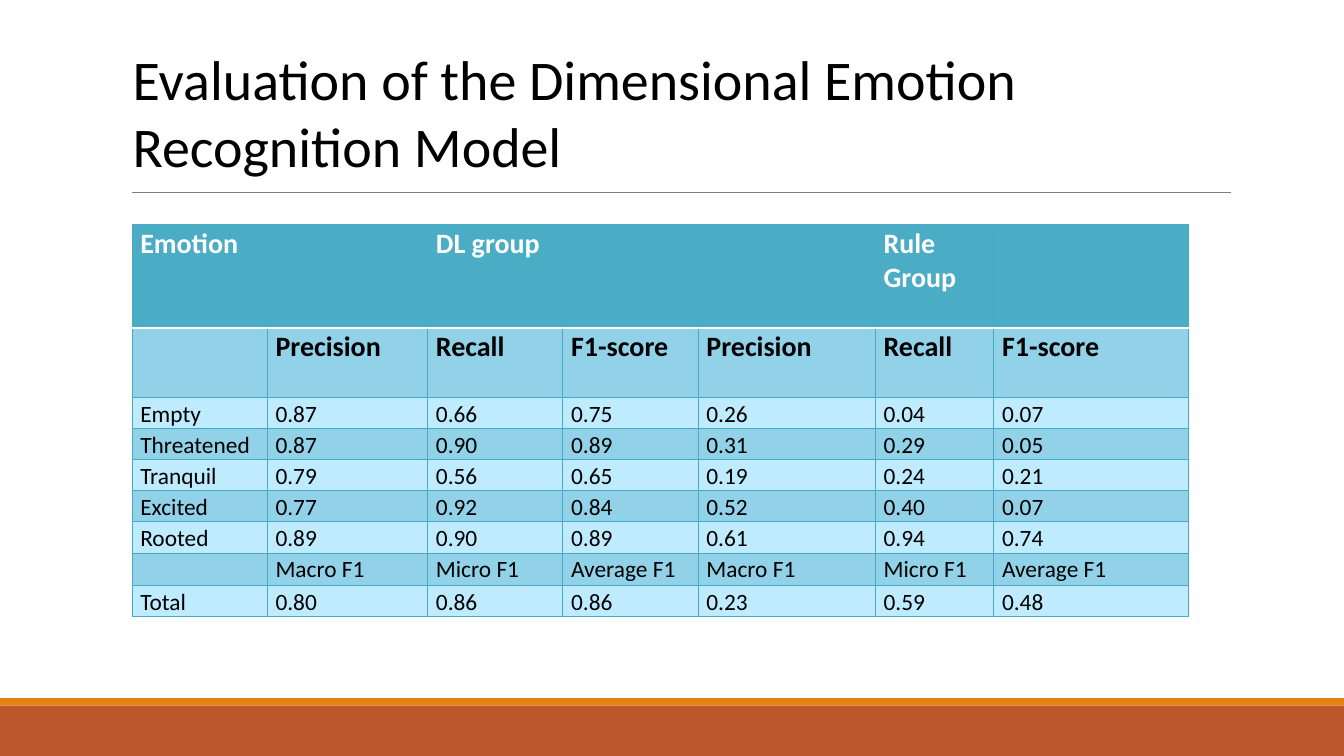
from pptx import Presentation
from pptx.dml.color import RGBColor
from pptx.enum.shapes import MSO_CONNECTOR, MSO_SHAPE
from pptx.enum.text import MSO_ANCHOR, PP_ALIGN
from pptx.oxml import parse_xml
from pptx.oxml.ns import nsdecls
from pptx.util import Inches, Pt


def rgb(value):
    return RGBColor.from_string(value)


def add_border(cell, side, color, points):
    cell._tc.get_or_add_tcPr().append(parse_xml(
        f'<a:{side} {nsdecls("a")} w="{Pt(points)}"><a:solidFill>'
        f'<a:srgbClr val="{color}"/></a:solidFill></a:{side}>'))


prs = Presentation()
prs.slide_width, prs.slide_height = Inches(16), Inches(9)
s = prs.slides.add_slide(prs.slide_layouts[5])
left = Inches(1.57)

# Footer bands
for top, height, color in [(8.4, 0.6, "BC572C"), (8.31, 0.09, "E38312")]:
    band = s.shapes.add_shape(MSO_SHAPE.RECTANGLE, 0, Inches(top),
                              prs.slide_width, Inches(height))
    band.shadow.inherit = False
    band.fill.solid()
    band.fill.fore_color.rgb = rgb(color)
    band.line.fill.background()

# Rule under the title
rule = s.shapes.add_connector(MSO_CONNECTOR.STRAIGHT, left, Inches(2.29),
                              Inches(14.65), Inches(2.29))
rule.line.color.rgb = rgb("7E7E7E")
rule.line.width = Pt(0.5)
rule._element.spPr.append(parse_xml(f'<a:effectLst {nsdecls("a")}/>'))

# Title
title = s.shapes.title
title.left, title.top, title.width, title.height = (
    left, Inches(0.5), Inches(11.1), Inches(1.63))
tf = title.text_frame
tf.text = "Evaluation of the Dimensional Emotion Recognition Model"
tf.word_wrap = True
tf.vertical_anchor = MSO_ANCHOR.TOP
tf.margin_left = Inches(0.01)
tf.margin_top = Inches(0.03)
tf.margin_right = tf.margin_bottom = 0
p = tf.paragraphs[0]
p.alignment = PP_ALIGN.LEFT
font = p.runs[0].font
font.name, font.size, font.color.rgb = "Calibri", Pt(48), rgb("000000")

# Table
rows = [
    ["Emotion", "", "DL group", "", "", "Rule Group", ""],
    [""] + ["Precision", "Recall", "F1-score"] * 2,
    ["Empty", "0.87", "0.66", "0.75", "0.26", "0.04", "0.07"],
    ["Threatened", "0.87", "0.90", "0.89", "0.31", "0.29", "0.05"],
    ["Tranquil", "0.79", "0.56", "0.65", "0.19", "0.24", "0.21"],
    ["Excited", "0.77", "0.92", "0.84", "0.52", "0.40", "0.07"],
    ["Rooted", "0.89", "0.90", "0.89", "0.61", "0.94", "0.74"],
    [""] + ["Macro F1", "Micro F1", "Average F1"] * 2,
    ["Total", "0.80", "0.86", "0.86", "0.23", "0.59", "0.48"],
]
widths = [1.61, 1.91, 1.61, 1.61, 2.11, 1.41, 2.32]
heights = [1.23, 0.83] + [0.37] * 5 + [0.39, 0.37]
table = s.shapes.add_table(len(rows), len(widths), left, Inches(2.67),
                           Inches(sum(widths)), Inches(sum(heights))).table
for column, width in zip(table.columns, widths):
    column.width = Inches(width)

for i, (texts, height) in enumerate(zip(rows, heights)):
    table.rows[i].height = Inches(height)
    heading = i < 2
    row_fill = "4BACC6" if i == 0 else "91D2E8" if i % 2 else "BFEBFF"
    for j, text in enumerate(texts):
        cell = table.cell(i, j)
        cell.margin_left = Inches(0.1)
        cell.margin_top = Inches(0.03)
        cell.margin_right = cell.margin_bottom = 0
        # Borders, with a white rule below the header row
        for side in ("lnL", "lnR", "lnT", "lnB"):
            white = (i, side) in [(0, "lnB"), (1, "lnT")]
            add_border(cell, side, "FFFFFF" if white else "46AAC5",
                       2 if white else 0.75)
        cell.fill.solid()
        cell.fill.fore_color.rgb = rgb(row_fill)
        cell.text_frame.text = text
        p = cell.text_frame.paragraphs[0]
        p.alignment = PP_ALIGN.LEFT
        p.font.size = Pt(24 if heading else 20)
        for r in p.runs:
            r.font.name = "Calibri"
            r.font.size = Pt(24 if heading else 20)
            r.font.bold = heading
            r.font.color.rgb = rgb("000000" if i else "FFFFFF")

prs.save("out.pptx")
